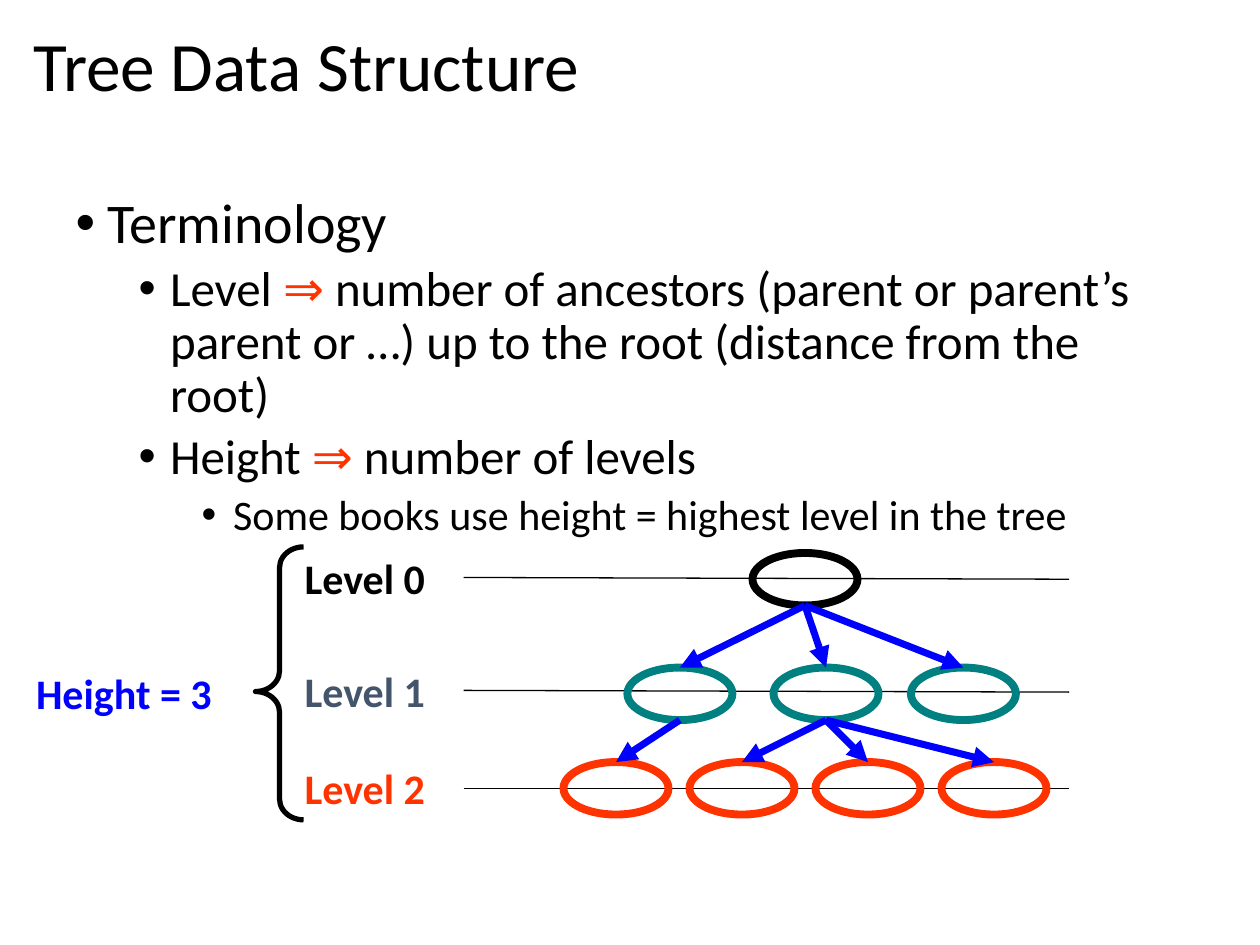
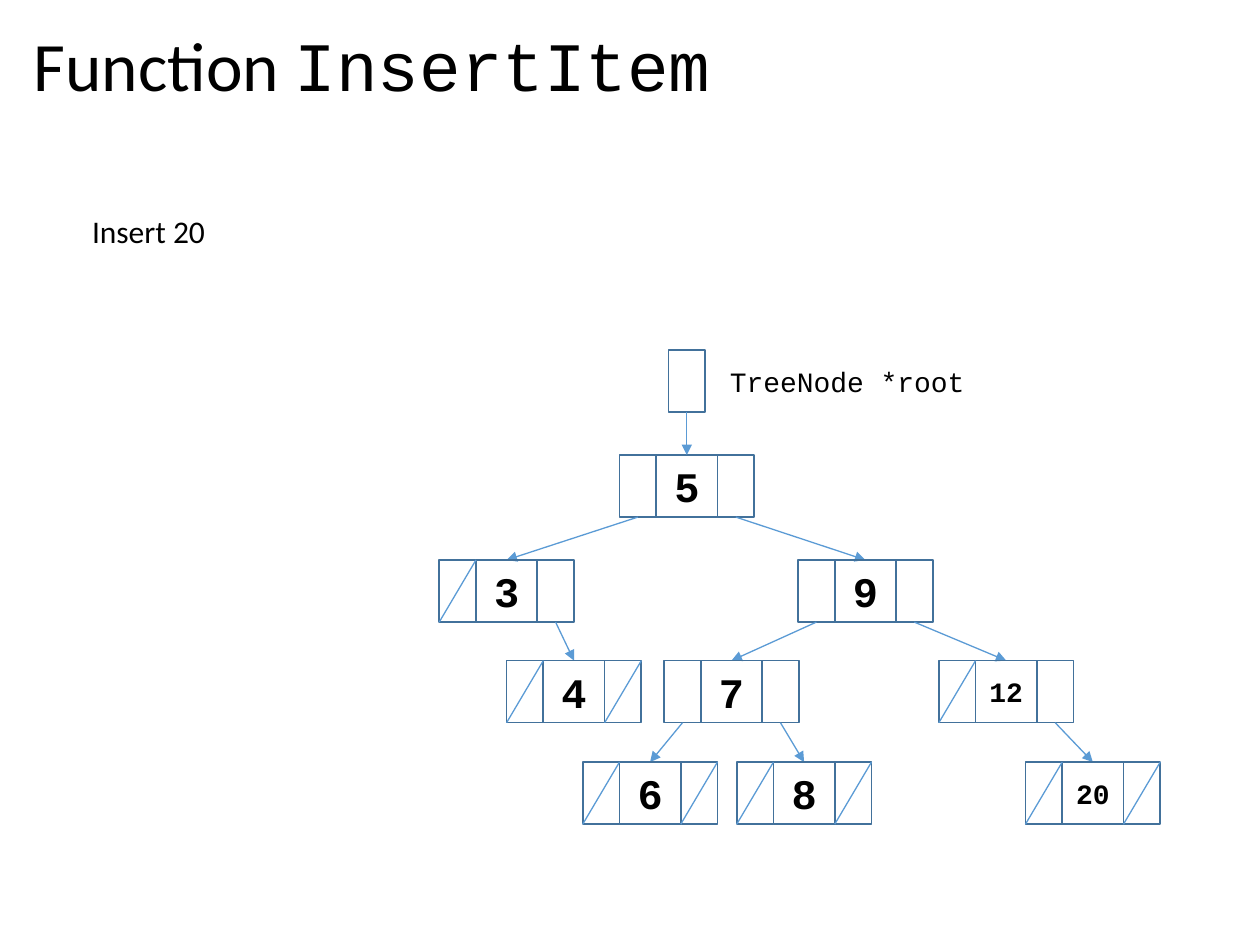
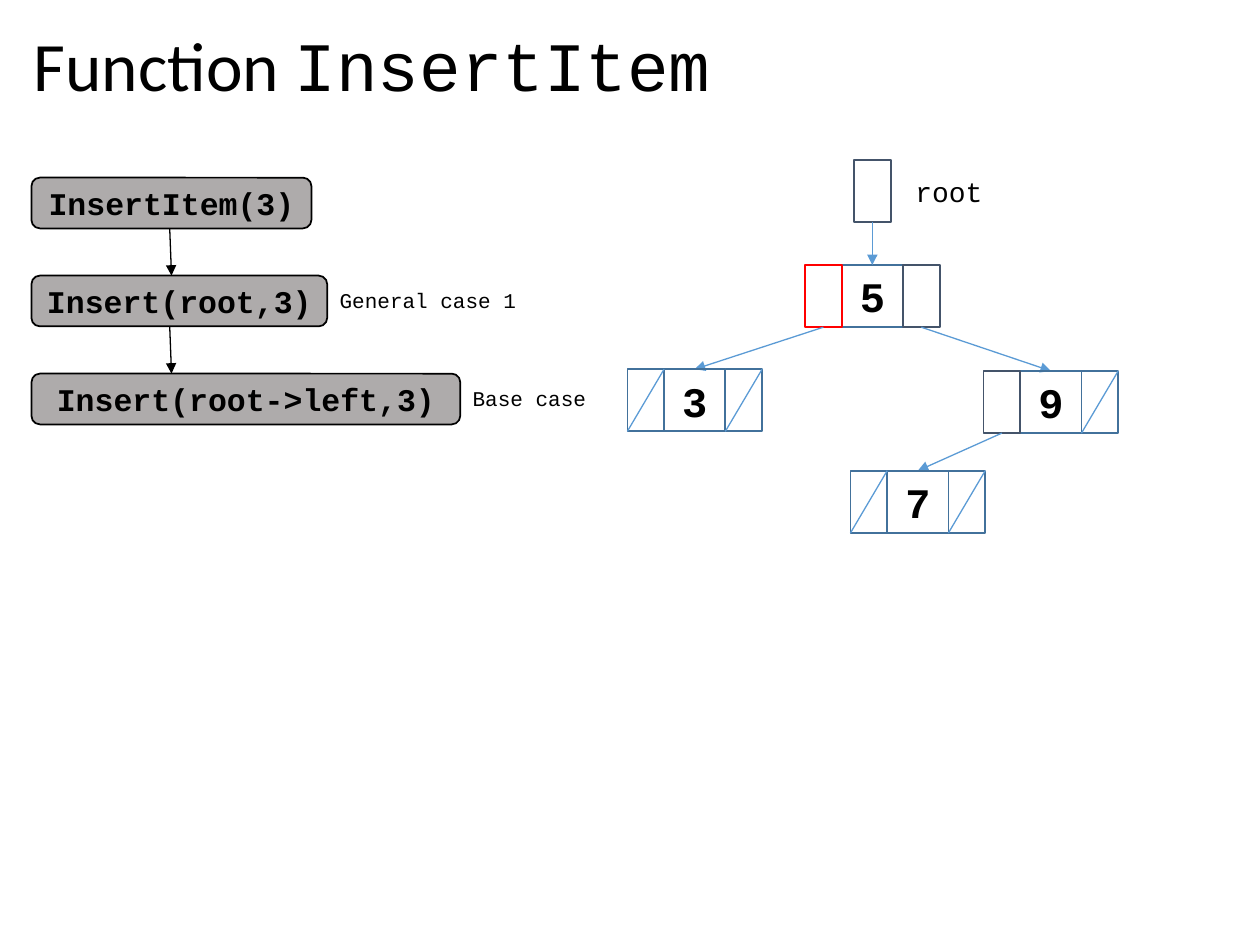
from lxml.etree import SubElement
from pptx import Presentation
from pptx.dml.color import RGBColor
from pptx.enum.shapes import MSO_CONNECTOR, MSO_SHAPE
from pptx.enum.text import MSO_ANCHOR, MSO_AUTO_SIZE, PP_ALIGN
from pptx.oxml.ns import qn
from pptx.util import Pt

BLACK, BLUE, TEAL, ORANGE, RED = "000000", "0000FF", "008080", "FF3300", "FF0000"
SLATE, STEEL, SKY, GREY = "44546A", "42719B", "5B9BD5", "AEABAB"
SANS, MONO = "Calibri", "Courier New"


def add_box(page, frame, text="", size=24, color=BLACK, font=SANS, bold=False,
            kind=None, line=BLACK, weight=1, fill=None):
    """Add a preset shape with centred text, or a plain text box when kind is None."""
    lengths = [Pt(length) for length in frame]
    if kind is None:
        box = page.shapes.add_textbox(*lengths)
    else:
        box = page.shapes.add_shape(kind, *lengths)
        box.shadow.inherit = False
        box.line.color.rgb = RGBColor.from_string(line)
        box.line.width = Pt(weight)
        if fill:
            box.fill.solid()
            box.fill.fore_color.rgb = RGBColor.from_string(fill)
        else:
            box.fill.background()
    if text:
        box.text_frame.word_wrap = True
        box.text_frame.text = text
        para = box.text_frame.paragraphs[0]
        if kind is not None:
            box.text_frame.vertical_anchor = MSO_ANCHOR.MIDDLE
            para.alignment = PP_ALIGN.CENTER
        span_font = para.runs[0].font
        span_font.name, span_font.size, span_font.bold = font, Pt(size), bold
        span_font.color.rgb = RGBColor.from_string(color)
    return box


def add_line(page, start, end, color, weight=0.75, arrow=True):
    ends = [Pt(length) for length in (*start, *end)]
    connector = page.shapes.add_connector(MSO_CONNECTOR.STRAIGHT, *ends)
    connector.line.color.rgb = RGBColor.from_string(color)
    connector.line.width = Pt(weight)
    properties = connector.element.spPr
    if arrow:
        SubElement(properties.find(qn("a:ln")), qn("a:tailEnd"), type="triangle")
    SubElement(properties, qn("a:effectLst"))


deck = Presentation()
deck.slide_width, deck.slide_height = Pt(720), Pt(540)
TITLE_AND_BODY, TITLE_ONLY = deck.slide_layouts[1], deck.slide_layouts[5]

# Pages and their titles
insert_title = [("Function ", SANS), ("InsertItem", MONO)]
pages = []
for layout, spans in [(TITLE_AND_BODY, [("Tree Data Structure", SANS)]),
                      (TITLE_ONLY, insert_title), (TITLE_ONLY, insert_title)]:
    page = deck.slides.add_slide(layout)
    title = page.shapes.title
    title.left, title.top, title.width, title.height = Pt(12), Pt(13), Pt(693), Pt(53)
    title.text_frame.auto_size = MSO_AUTO_SIZE.NONE
    title.text_frame.vertical_anchor = MSO_ANCHOR.MIDDLE
    para = title.text_frame.paragraphs[0]
    para.alignment, para.line_spacing = PP_ALIGN.LEFT, 0.9
    for text, font in spans:
        span = para.add_run()
        span.text = text
        span.font.name, span.font.size = font, Pt(39.6)
    pages.append(page)
terms_page, insert_page, calls_page = pages

# Terminology bullets
IMPLIES = "⇒ "
bullets = [
    (0, ["Terminology"]),
    (1, ["Level ", IMPLIES, "number of ancestors (parent or parent’s parent or …) "
         "up to the root (distance from the root)"]),
    (1, ["Height ", IMPLIES, "number of levels"]),
    (2, ["Some books use height = highest level in the tree"]),
]
body = terms_page.placeholders[1]
body.left, body.top, body.width, body.height = Pt(36), Pt(108), Pt(648), Pt(356)
body.text_frame.auto_size = MSO_AUTO_SIZE.NONE
for index, (level, texts) in enumerate(bullets):
    para = body.text_frame.add_paragraph() if index else body.text_frame.paragraphs[0]
    para.level, para.line_spacing = level, 0.9
    para.space_before = Pt(5 if level else 0)
    for text in texts:
        span = para.add_run()
        span.text = text
        span.font.name, span.font.size = SANS, Pt(32 - 4 * level)
        span.font.color.rgb = RGBColor.from_string(ORANGE if text == IMPLIES else BLACK)
    properties = para._p.get_or_add_pPr()
    properties.set("marL", str(Pt(18 + 36 * level)))
    properties.set("indent", str(Pt(-18)))
    SubElement(properties, qn("a:buFont"), typeface="Arial")
    SubElement(properties, qn("a:buChar"), char="•")

# Tree with its levels: label colour, ring colour, label top, rule ends, ring top, ring centres
OVAL_WIDTH, OVAL_HEIGHT = 60, 30
levels = [
    (BLACK, BLACK, 312, (330, 331), 316, [460]),
    (SLATE, TEAL, 376.5, (394.5, 395.5), 381.5, [388.5, 472, 550.5]),
    (ORANGE, ORANGE, 432, (450.5, 450.5), 435.5, [352 + 72 * i for i in range(4)]),
]
for number, (label_color, ring, label_top, rule, top, centers) in enumerate(levels):
    add_line(terms_page, (265, rule[0]), (611, rule[1]), BLACK, arrow=False)
    add_box(terms_page, (167, label_top, 96, 36), f"Level {number}",
            color=label_color, bold=True)
    for center in centers:
        add_box(terms_page, (center - OVAL_WIDTH / 2, top, OVAL_WIDTH, OVAL_HEIGHT),
                kind=MSO_SHAPE.OVAL, line=ring, weight=4.5)

# Each edge: parent level, parent position, child position
for level, parent, child in [(0, 0, 0), (0, 0, 1), (0, 0, 2),
                             (1, 0, 0), (1, 1, 1), (1, 1, 2), (1, 1, 3)]:
    *_, parent_top, parent_centers = levels[level]
    *_, child_top, child_centers = levels[level + 1]
    add_line(terms_page, (parent_centers[parent], parent_top + OVAL_HEIGHT),
             (child_centers[child], child_top), BLUE, 4)

add_box(terms_page, (13.5, 378, 132, 36), "Height = 3", color=BLUE, bold=True)
brace = add_box(terms_page, (146, 312.5, 27.5, 156), kind=MSO_SHAPE.LEFT_BRACE, weight=3)
brace.adjustments[0], brace.adjustments[1] = 0.43, 0.53

# Binary trees: key -> left, top, left child, right child; the first key is the root
POINTER_WIDTH, KEY_WIDTH, NODE_HEIGHT = 21, 35, 35.5
NODE_WIDTH = KEY_WIDTH + 2 * POINTER_WIDTH
insert_tree = {
    "5": (354, 260, "3", "9"),
    "3": (251, 320, None, "4"),
    "9": (456, 320, "7", "12"),
    "4": (289.5, 377.5, None, None),
    "7": (379.5, 377.5, "6", "8"),
    "12": (536.5, 377.5, None, "20"),
    "6": (333, 435.5, None, None),
    "8": (421, 435.5, None, None),
    "20": (586, 435.5, None, None),
}
calls_tree = {
    "5": (460, 151.5, "3", "9"),
    "3": (358.5, 211, None, None),
    "9": (562, 212, "7", None),
    "7": (486, 269, None, None),
}
for page, tree, label, label_width, link_color, followed in [
        (insert_page, insert_tree, "TreeNode *root", 153, STEEL, None),
        (calls_page, calls_tree, "root", 57, SLATE, ("5", "3"))]:
    for key, (left, top, left_child, right_child) in tree.items():
        add_box(page, (left + POINTER_WIDTH, top, KEY_WIDTH, NODE_HEIGHT), key,
                24 if len(key) == 1 else 16, font=MONO, bold=True,
                kind=MSO_SHAPE.RECTANGLE, line=STEEL)
        bottom = top + NODE_HEIGHT
        for pointer_left, child in [(left + POINTER_WIDTH + KEY_WIDTH, right_child),
                                    (left, left_child)]:
            color = RED if (key, child) == followed else link_color if child else STEEL
            add_box(page, (pointer_left, top, POINTER_WIDTH, NODE_HEIGHT),
                    kind=MSO_SHAPE.RECTANGLE, line=color)
            if child:
                child_left, child_top = tree[child][:2]
                add_line(page, (pointer_left + POINTER_WIDTH / 2, bottom),
                         (child_left + NODE_WIDTH / 2, child_top), SKY)
            else:
                add_line(page, (pointer_left + POINTER_WIDTH, top),
                         (pointer_left, bottom), SKY, arrow=False)

    root_left, root_top = tree["5"][:2]
    center, pointer_top = root_left + NODE_WIDTH / 2, root_top - 60
    add_box(page, (center - POINTER_WIDTH / 2, pointer_top, POINTER_WIDTH, NODE_HEIGHT),
            kind=MSO_SHAPE.RECTANGLE, line=link_color)
    add_line(page, (center, pointer_top + NODE_HEIGHT), (center, root_top), SKY)
    add_box(page, (center + 17.5, pointer_top + 4.5, label_width, 26.5), label, 16, font=MONO)

add_box(insert_page, (45.5, 117.5, 176, 29), "Insert 20", 18)

# Chain of calls
CALL_LEFT, CALL_TOP, CALL_HEIGHT, CALL_STEP = 18, 101.5, 29, 56
for index, (call, width, case) in enumerate([
        ("InsertItem(3)", 160, ""),
        ("Insert(root,3)", 169, "General case 1"),
        ("Insert(root->left,3)", 245, "Base case")]):
    top = CALL_TOP + index * CALL_STEP
    add_box(calls_page, (CALL_LEFT, top, width, CALL_HEIGHT), call, 18, font=MONO, bold=True,
            kind=MSO_SHAPE.ROUNDED_RECTANGLE, fill=GREY)
    if case:
        add_line(calls_page, (97, top - CALL_STEP + CALL_HEIGHT), (98, top), BLACK)
        add_box(calls_page, (CALL_LEFT + width, top + 3, 126, 22), case, 12, font=MONO)

deck.save("out.pptx")
